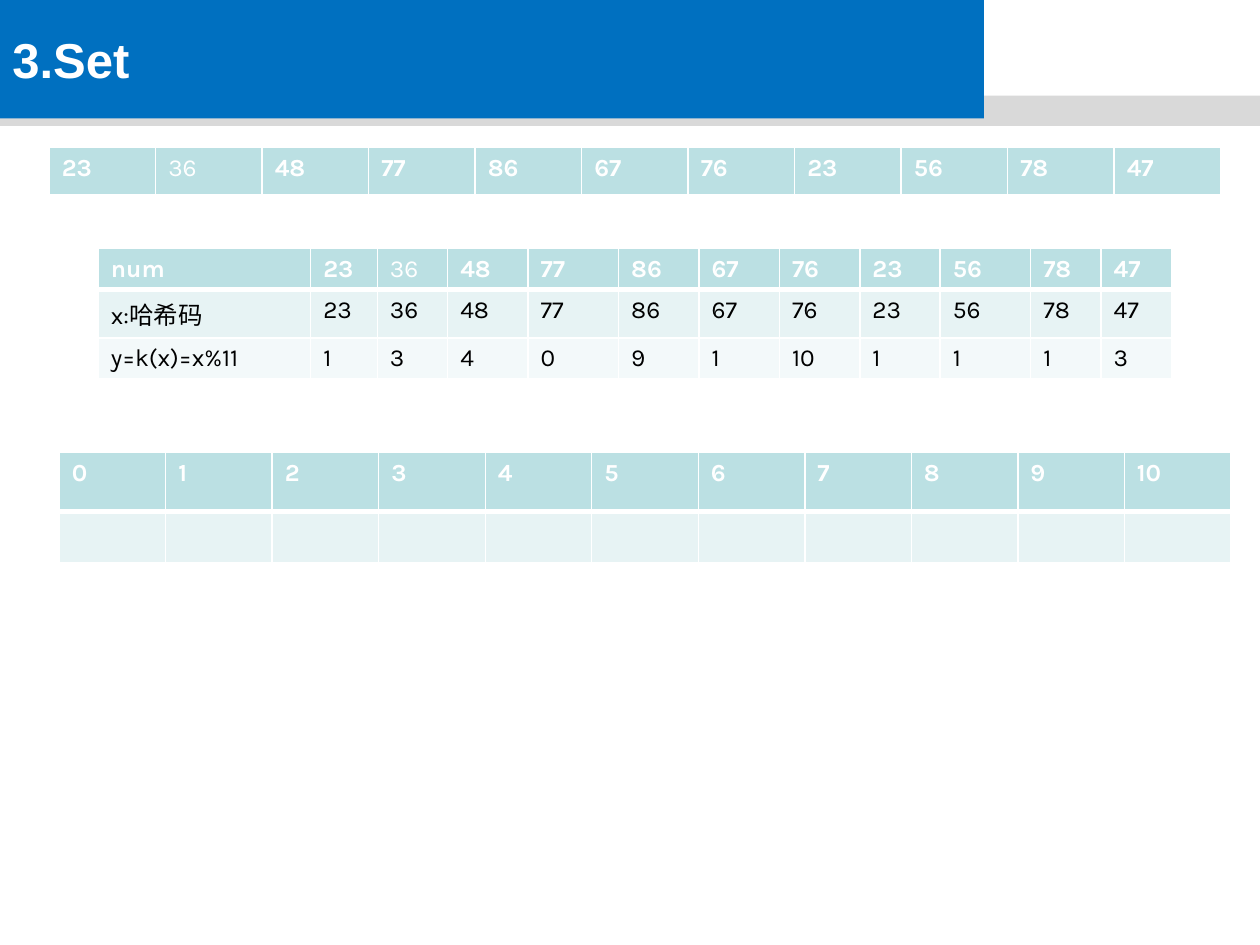
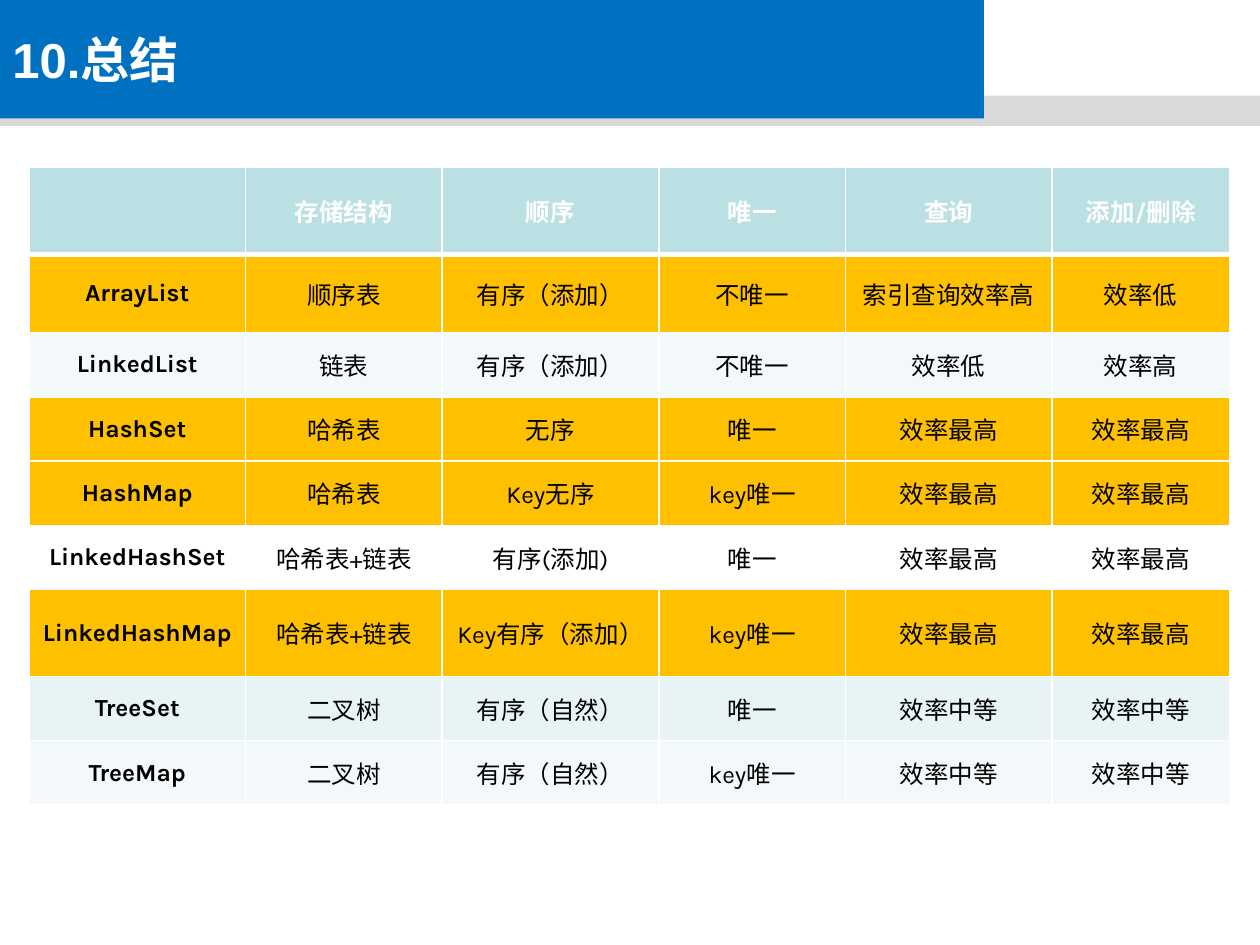
from dataclasses import dataclass

from lxml.etree import SubElement
from pptx import Presentation
from pptx.dml.color import RGBColor
from pptx.enum.shapes import MSO_SHAPE
from pptx.enum.text import MSO_ANCHOR, PP_ALIGN
from pptx.oxml.ns import qn
from pptx.util import Emu, Inches, Pt

COLORS = {
    "title": "0070C0",
    "band": "D9D9D9",
    "header": "BBE0E3",
    "odd": "E7F3F4",
    "even": "F3F9FA",
    "highlight": "FFC000",
    "white": "FFFFFF",
    "black": "000000",
}
GRID_COLUMNS, GRID_ROWS = 100, 75
SLIDE_WIDTH, SLIDE_HEIGHT = Inches(10), Inches(7.5)
TITLE_FONT, TABLE_FONT = "Arial", "Karla"
BUCKETS = 11
NUMBERS = [23, 36, 48, 77, 86, 67, 76, 23, 56, 78, 47]
PLAIN_NUMBER = 36
COLLECTION_HEADER = ["", "存储结构", "顺序", "唯一", "查询", "添加/删除"]
COLLECTIONS = [
    ("highlight", ["ArrayList", "顺序表", "有序（添加）", "不唯一", "索引查询效率高", "效率低"]),
    ("even", ["LinkedList", "链表", "有序（添加）", "不唯一", "效率低", "效率高"]),
    ("highlight", ["HashSet", "哈希表", "无序", "唯一", "效率最高", "效率最高"]),
    ("highlight", ["HashMap", "哈希表", "Key无序", "key唯一", "效率最高", "效率最高"]),
    ("white", ["LinkedHashSet", "哈希表+链表", "有序(添加)", "唯一", "效率最高", "效率最高"]),
    ("highlight", ["LinkedHashMap", "哈希表+链表", "Key有序（添加）", "key唯一", "效率最高", "效率最高"]),
    ("odd", ["TreeSet", "二叉树", "有序（自然）", "唯一", "效率中等", "效率中等"]),
    ("even", ["TreeMap", "二叉树", "有序（自然）", "key唯一", "效率中等", "效率中等"]),
]


@dataclass
class Box:
    """A region in grid columns and rows."""

    left: float
    top: float
    width: float
    height: float

    def lengths(self):
        """Return the region as slide lengths."""
        column, row = SLIDE_WIDTH / GRID_COLUMNS, SLIDE_HEIGHT / GRID_ROWS
        return (Emu(round(self.left * column)), Emu(round(self.top * row)),
                Emu(round(self.width * column)), Emu(round(self.height * row)))


BAND_BOX = Box(0, 7.6, 100, 2.4)
TITLE_BOX = Box(0, 0, 78.1, 9.4)


def color(name):
    """Return a palette colour."""
    return RGBColor.from_string(COLORS[name])


def format_runs(paragraph, font_name, size, color_name, bold):
    """Give every run of a paragraph the same font."""
    for run in paragraph.runs:
        run.font.name = font_name
        run.font.size = Pt(size)
        run.font.bold = bold
        run.font.color.rgb = color(color_name)


def add_bar(slide, box, color_name):
    """Add a flat rectangle without an outline."""
    shape = slide.shapes.add_shape(MSO_SHAPE.RECTANGLE, *box.lengths())
    shape.shadow.inherit = False
    shape.fill.solid()
    shape.fill.fore_color.rgb = color(color_name)
    shape.line.fill.background()
    return shape


def add_titled_slide(presentation, title):
    """Add a blank slide with the grey band and the title bar."""
    slide = presentation.slides.add_slide(presentation.slide_layouts[6])
    add_bar(slide, BAND_BOX, "band")
    text_frame = add_bar(slide, TITLE_BOX, "title").text_frame
    text_frame.text = title
    text_frame.vertical_anchor = MSO_ANCHOR.MIDDLE
    paragraph = text_frame.paragraphs[0]
    paragraph.alignment = PP_ALIGN.LEFT
    format_runs(paragraph, TITLE_FONT, 28, "white", True)
    return slide


def set_borders(cell, bottom_width):
    """Draw white cell borders with the given bottom width in points."""
    properties = cell._tc.get_or_add_tcPr()
    widths = {"a:lnL": 1, "a:lnR": 1, "a:lnT": 1, "a:lnB": bottom_width}
    for position, (tag, width) in enumerate(widths.items()):
        line = SubElement(properties, qn(tag), w=str(Pt(width)))
        fill = SubElement(line, qn("a:solidFill"))
        SubElement(fill, qn("a:srgbClr"), val=COLORS["white"])
        properties.insert(position, line)


def fill_cell(cell, text, fill_name, bold, centered):
    """Write and style one table cell."""
    is_header = fill_name == "header"
    cell.fill.solid()
    cell.fill.fore_color.rgb = color(fill_name)
    set_borders(cell, 3 if is_header else 1)
    cell.text_frame.text = text
    paragraph = cell.text_frame.paragraphs[0]
    paragraph.space_before = Pt(2.8)
    if centered:
        cell.vertical_anchor = MSO_ANCHOR.MIDDLE
        paragraph.alignment = PP_ALIGN.CENTER
    format_runs(paragraph, TABLE_FONT, 14, "white" if is_header else "black", bold)


def add_grid_table(slide, box, rows, column_shares, row_shares, centered=False):
    """Fill the box with a table whose rows are (fill, texts) pairs."""
    left, top, width, height = box.lengths()
    table = slide.shapes.add_table(
        len(rows), len(column_shares), left, top, width, height).table
    for column, share in zip(table.columns, column_shares):
        column.width = Emu(round(width * share / sum(column_shares)))
    for row, share in zip(table.rows, row_shares):
        row.height = Emu(round(height * share / sum(row_shares)))
    for row, (fill_name, texts) in zip(table.rows, rows):
        for index, (cell, text) in enumerate(zip(row.cells, texts)):
            if fill_name == "header":
                bold = text != str(PLAIN_NUMBER)
            else:
                bold = centered and index == 0
            fill_cell(cell, text, fill_name, bold, centered)


def add_set_slide(presentation):
    """Show the numbers, their hash codes and the empty buckets."""
    slide = add_titled_slide(presentation, "3.Set")
    numbers = [str(number) for number in NUMBERS]
    remainders = [str(number % BUCKETS) for number in NUMBERS]
    equal_columns = [1] * BUCKETS
    bucket_rows = [("header", [str(index) for index in range(BUCKETS)]),
                   ("odd", [""] * BUCKETS)]
    hash_rows = [("header", ["num"] + numbers),
                 ("odd", ["x:哈希码"] + numbers),
                 ("even", ["y=k(x)=x%11"] + remainders)]
    hash_columns = [1.69, 0.53, 0.56, 0.64, 0.72, 0.64, 0.64, 0.64, 0.64, 0.72, 0.56, 0.56]
    add_grid_table(slide, Box(4.7, 35.9, 93, 8.6), bucket_rows, equal_columns, [0.47, 0.39])
    add_grid_table(slide, Box(3.9, 11.7, 93, 3.9), [("header", numbers)], equal_columns, [1])
    add_grid_table(slide, Box(7.8, 19.7, 85.2, 7.8), hash_rows, hash_columns, [1, 1, 1])


def add_summary_slide(presentation):
    """Compare the collection classes in one table."""
    slide = add_titled_slide(presentation, "10.总结")
    rows = [("header", COLLECTION_HEADER)] + COLLECTIONS
    add_grid_table(slide, Box(2.3, 13.3, 95.3, 50.6), rows,
                   [1.72, 1.56, 1.72, 1.48, 1.64, 1.41],
                   [0.69, 0.62] + [0.51] * 4 + [0.69] + [0.51] * 2, centered=True)


def main():
    """Build and save the presentation."""
    presentation = Presentation()
    presentation.slide_width = SLIDE_WIDTH
    presentation.slide_height = SLIDE_HEIGHT
    add_set_slide(presentation)
    add_summary_slide(presentation)
    presentation.save("out.pptx")


if __name__ == "__main__":
    main()
